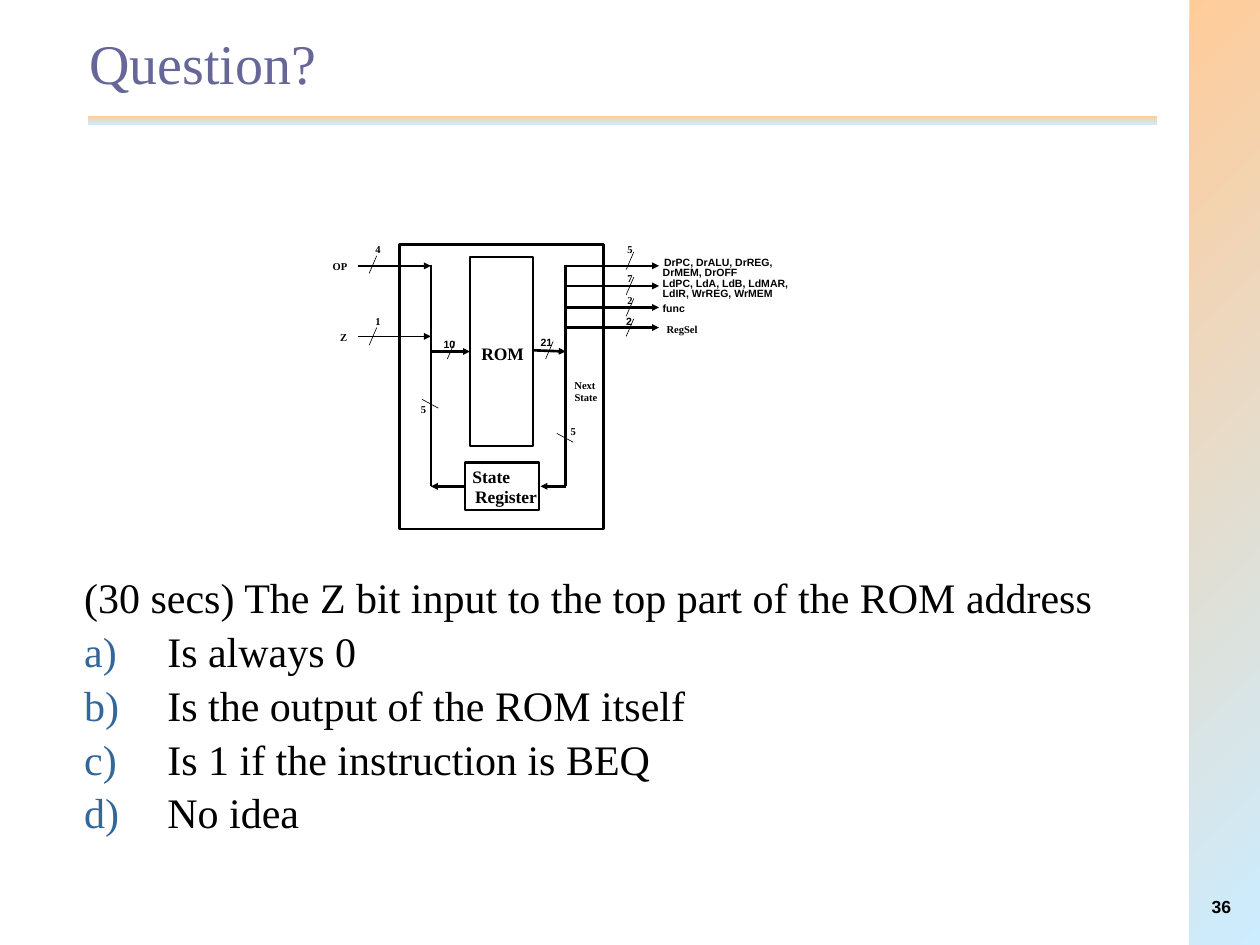
from lxml import etree
from pptx import Presentation
from pptx import util as u
from pptx.dml.color import RGBColor
from pptx.enum import shapes, text
from pptx.oxml import ns

BLACK = RGBColor(0, 0, 0)
WHITE = RGBColor(255, 255, 255)
PEACH = RGBColor(0xFF, 0xCC, 0x99)
SKY = RGBColor(0xCC, 0xEC, 0xFF)
PURPLE = RGBColor(0x66, 0x66, 0x99)
BULLET_BLUE = RGBColor(0x33, 0x66, 0x99)
SERIF, SANS = "Times New Roman", "Arial"
BUS, THICK, THIN, HAIR = 1.5, 1.25, 0.5, 0.37
LABEL_SLACK = 0.2


def add_text(page, box, lines, size, font=SERIF, color=BLACK, bold=False,
             insets=(0, 0, 0, 0), wrap=False, anchor=text.MSO_ANCHOR.TOP):
    frame = page.shapes.add_textbox(*map(u.Inches, box)).text_frame
    frame.word_wrap = wrap
    frame.vertical_anchor = anchor
    (frame.margin_left, frame.margin_top,
     frame.margin_right, frame.margin_bottom) = map(u.Inches, insets)
    frame.text = "\n".join(lines)
    for para in frame.paragraphs:
        for span in para.runs:
            span.font.size = u.Pt(size)
            span.font.name = font
            span.font.bold = bold
            span.font.color.rgb = color
    return frame


def add_rectangle(page, box):
    shape = page.shapes.add_shape(
        shapes.MSO_SHAPE.RECTANGLE, *map(u.Inches, box))
    shape.shadow.inherit = False
    return shape


def add_gradient(page, box, clockwise):
    shape = add_rectangle(page, box)
    shape.line.fill.background()
    shape.fill.gradient()
    shape.fill.gradient_angle = 360 - clockwise
    for stop, color in zip(shape.fill.gradient_stops, (PEACH, SKY)):
        stop.color.rgb = color


def add_line(page, start, end, width, arrow=False):
    line = page.shapes.add_connector(
        shapes.MSO_CONNECTOR.STRAIGHT, *map(u.Inches, (*start, *end)))
    line.line.color.rgb = BLACK
    line.line.width = u.Pt(width)
    if arrow:
        etree.SubElement(line.line._get_or_add_ln(), ns.qn("a:tailEnd"),
                         type="triangle", w="sm", len="sm")
    etree.SubElement(line._element.spPr, ns.qn("a:effectLst"))


def draw_frame(page, number):
    add_gradient(page, (0.7, 0.92, 8.48, 0.07), 90)
    add_gradient(page, (9.44, 0, 0.56, 7.5), 45)
    frame = add_text(page, (9.28, 7.11, 0.58, 0.17), [number], 10, SANS,
                     bold=True, insets=(0.09, 0, 0.09, 0), wrap=True)
    frame.paragraphs[0].alignment = text.PP_ALIGN.RIGHT


def draw_title(page, box, title):
    add_text(page, box, [title], 32, color=PURPLE, wrap=True,
             insets=(0.1, 0.05, 0.1, 0.23), anchor=text.MSO_ANCHOR.MIDDLE)


def draw_question(page, box, question, answers):
    frame = add_text(page, box, [question, *answers], 24, wrap=True,
                     insets=(0.1, 0.05, 0.1, 0.05))
    for index, para in enumerate(frame.paragraphs):
        para.line_spacing = 0.9
        para.space_before = u.Pt(4.9)
        props = para._p.get_or_add_pPr()
        props.set("marL", str(u.Inches(0.67)))
        props.set("indent", str(u.Inches(-0.66)))
        if index == 0:
            etree.SubElement(props, ns.qn("a:buNone"))
            continue
        color = etree.SubElement(props, ns.qn("a:buClr"))
        etree.SubElement(color, ns.qn("a:srgbClr"), val=str(BULLET_BLUE))
        etree.SubElement(props, ns.qn("a:buFont"), typeface=SERIF)
        etree.SubElement(props, ns.qn("a:buAutoNum"), type="alphaLcParenR")


def draw_controller(page, box):
    left, top, width, height = box

    def at(x, y):
        return left + x, top + y

    def block(x, y, wide, high, filled=False):
        shape = add_rectangle(page, (*at(x, y), wide, high))
        shape.line.color.rgb = BLACK
        shape.line.width = u.Pt(THICK)
        if filled:
            shape.fill.solid()
            shape.fill.fore_color.rgb = WHITE
        else:
            shape.fill.background()

    def label(words, x, y, wide, font=SERIF, size=6):
        add_text(page, (*at(x, y), wide + LABEL_SLACK, size / 60), [words],
                 size, font, bold=True)

    block(0, 0, width, height, filled=True)
    block(0.56, 0.1, 0.5, 1.5)
    block(0.52, 1.73, 0.59, 0.38)

    input_bus, output_bus, arrow_end = 0.25, 1.32, 2.06
    output_rows = (0.17, 0.33, 0.5, 0.66)
    arrows = [
        ((-0.33, 0.17), (input_bus, 0.17)),
        ((1.06, 0.84), (output_bus, 0.85)),
        ((input_bus, 0.85), (0.56, 0.85)),
        ((output_bus, 1.92), (1.12, 1.92)),
        ((0.52, 1.92), (input_bus, 1.92)),
    ]
    arrows += [((output_bus, y), (arrow_end, y)) for y in output_rows]
    for start, end in arrows:
        add_line(page, at(*start), at(*end), BUS, arrow=True)
    add_line(page, at(-0.33, 0.73), at(input_bus, 0.73), THIN, arrow=True)
    for bus in (input_bus, output_bus):
        add_line(page, at(bus, 0.16), at(bus, 1.92), BUS)

    slashes = [(-0.24, 0.09), (-0.24, 0.66), (0.38, 0.77), (1.16, 0.77)]
    slashes += [(1.8, y) for y in (0.06, 0.26, 0.43, 0.59)]
    for x, y in slashes:
        add_line(page, at(x, y + 0.14), at(x + 0.06, y), HAIR)
    for x, y in ((1.25, 1.5), (0.18, 1.23)):
        add_line(page, at(x, y), at(x + 0.13, y + 0.07), HAIR)

    for words, x, y, wide in (
            ("OP", -0.53, 0.12, 0.12), ("4", -0.19, -0.01, 0.04),
            ("Z", -0.47, 0.69, 0.06), ("1", -0.19, 0.56, 0.04),
            ("5", 1.81, -0.01, 0.04), ("7", 1.81, 0.22, 0.04),
            ("2", 1.81, 0.39, 0.04), ("5", 1.36, 1.43, 0.04),
            ("5", 0.17, 1.26, 0.04), ("RegSel", 2.12, 0.62, 0.25),
            ("Next", 1.39, 1.07, 0.17), ("State", 1.39, 1.16, 0.18)):
        label(words, x, y, wide)
    for words, x, y, wide in (
            ("DrPC, DrALU, DrREG,", 2.1, 0.09, 0.89),
            ("DrMEM, DrOFF", 2.09, 0.17, 0.59),
            ("LdPC, LdA, LdB, LdMAR,", 2.09, 0.26, 1),
            ("LdIR, WrREG, WrMEM", 2.09, 0.34, 0.88),
            ("func", 2.09, 0.46, 0.18), ("2", 1.8, 0.56, 0.05),
            ("10", 0.35, 0.74, 0.09), ("21", 1.12, 0.73, 0.09)):
        label(words, x, y, wide, SANS)
    for words, x, y, wide in (
            ("ROM", 0.65, 0.78, 0.34), ("State", 0.58, 1.76, 0.3),
            ("Register", 0.6, 1.92, 0.49)):
        label(words, x, y, wide, size=10)


deck = Presentation()
deck.slide_width, deck.slide_height = u.Inches(10), u.Inches(7.5)
page = deck.slides.add_slide(deck.slide_layouts[6])
draw_frame(page, "36")
draw_question(
    page, (0.56, 4.53, 9, 2.42),
    "(30 secs) The Z bit input to the top part of the ROM address",
    ["Is always 0", "Is the output of the ROM itself",
     "Is 1 if the instruction is BEQ", "No idea"])
draw_controller(page, (3.17, 1.94, 1.62, 2.26))
draw_title(page, (0.61, 0.17, 8.5, 0.83), "Question?")
deck.save("out.pptx")
